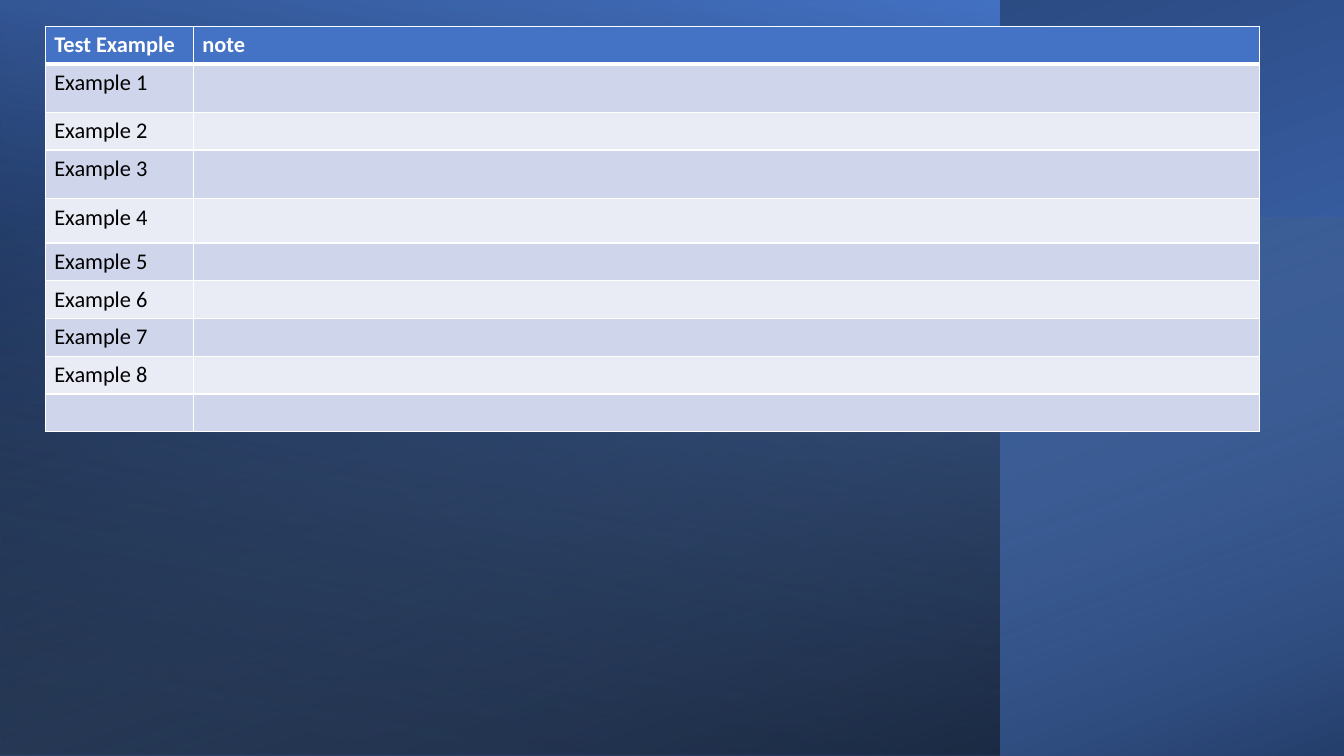
from dataclasses import dataclass

from lxml.etree import SubElement
from pptx import Presentation
from pptx.dml.color import RGBColor
from pptx.enum.shapes import MSO_SHAPE
from pptx.oxml.ns import qn
from pptx.slide import Slide
from pptx.table import _Cell
from pptx.util import Cm, Pt


@dataclass(frozen=True)
class Theme:
    font: str = "Calibri"
    text_size: int = 16
    accent: str = "4472C4"
    navy: str = "203864"
    sky: str = "9DC3E6"
    black: str = "000000"
    white: str = "FFFFFF"
    bands: tuple[str, str] = ("CFD5EA", "E9EBF5")
    thin_border: int = 1
    thick_border: int = 3


@dataclass(frozen=True)
class Stop:
    position: float
    color: str
    opacity: int = 100


@dataclass(frozen=True)
class Panel:
    left: float
    top: float
    width: float
    height: float
    rotation: int
    angle: int
    stops: tuple[Stop, Stop]


@dataclass(frozen=True)
class Row:
    label: str
    height: float
    note: str = ""


THEME = Theme()
SLIDE_WIDTH, SLIDE_HEIGHT = 33.87, 19.05
TABLE_LEFT, TABLE_TOP = 1.14, 0.66
COLUMN_WIDTHS = (3.73, 26.87)
PANELS = (
    Panel(7.41, -7.41, SLIDE_HEIGHT, SLIDE_WIDTH, 270, 200,
          (Stop(0.08, THEME.accent), Stop(1, THEME.navy))),
    Panel(0, 0, 25.2, SLIDE_HEIGHT, 180, 80,
          (Stop(0.08, THEME.black, 52), Stop(1, THEME.accent))),
    Panel(10.13, -4.67, 13.59, 33.88, 270, 20,
          (Stop(0, THEME.sky, 0), Stop(1, THEME.black, 46))),
)
ROWS = (
    Row("Test Example", 0.94, "note"),
    Row("Example 1", 1.22),
    Row("Example 2", 0.94),
    Row("Example 3", 1.22),
    Row("Example 4", 1.12),
    Row("Example 5", 0.94),
    Row("Example 6", 0.94),
    Row("Example 7", 0.94),
    Row("Example 8", 0.94),
    Row("", 0.94),
)


def add_panel(slide: Slide, panel: Panel) -> None:
    shape = slide.shapes.add_shape(
        MSO_SHAPE.RECTANGLE,
        Cm(panel.left), Cm(panel.top), Cm(panel.width), Cm(panel.height),
    )
    shape.rotation = panel.rotation
    shape._element.spPr.find(qn("a:xfrm")).set("flipH", "1")
    shape.shadow.inherit = False
    shape.line.fill.background()
    shape.fill.gradient()
    shape.fill.gradient_angle = 360 - panel.angle
    for gradient_stop, stop in zip(shape.fill.gradient_stops, panel.stops):
        gradient_stop.position = stop.position
        gradient_stop.color.rgb = RGBColor.from_string(stop.color)
    colors = shape._element.spPr.iter(qn("a:srgbClr"))
    for color, stop in zip(list(colors), panel.stops):
        if stop.opacity < 100:
            SubElement(color, qn("a:alpha"), val=str(stop.opacity * 1000))


def add_borders(cell: _Cell, top: int, bottom: int) -> None:
    thin = THEME.thin_border
    properties = cell._tc.get_or_add_tcPr()
    widths = {"lnL": thin, "lnR": thin, "lnT": top, "lnB": bottom}
    for side, width in widths.items():
        line = SubElement(properties, qn(f"a:{side}"), w=str(Pt(width)))
        fill = SubElement(line, qn("a:solidFill"))
        SubElement(fill, qn("a:srgbClr"), val=THEME.white)


def format_cell(cell: _Cell, text: str, row_index: int) -> None:
    header = row_index == 0
    thin, thick = THEME.thin_border, THEME.thick_border
    add_borders(cell, thick if row_index == 1 else thin, thick if header else thin)
    fill_color = THEME.accent if header else THEME.bands[(row_index - 1) % 2]
    cell.fill.solid()
    cell.fill.fore_color.rgb = RGBColor.from_string(fill_color)
    cell.margin_left = cell.margin_right = Cm(0.23)
    cell.margin_top = cell.margin_bottom = Cm(0.13)
    cell.text_frame.text = text
    paragraph = cell.text_frame.paragraphs[0]
    for run in paragraph.runs:
        run.font.name = THEME.font
        run.font.size = Pt(THEME.text_size)
        run.font.bold = header
        text_color = THEME.white if header else THEME.black
        run.font.color.rgb = RGBColor.from_string(text_color)
    if not text:
        SubElement(paragraph._p, qn("a:endParaRPr"), sz=str(THEME.text_size * 100))


def add_example_table(slide: Slide) -> None:
    table = slide.shapes.add_table(
        len(ROWS), len(COLUMN_WIDTHS), Cm(TABLE_LEFT), Cm(TABLE_TOP),
        Cm(sum(COLUMN_WIDTHS)), Cm(sum(row.height for row in ROWS)),
    ).table
    for column, width in zip(table.columns, COLUMN_WIDTHS):
        column.width = Cm(width)
    for row_index, row in enumerate(ROWS):
        table.rows[row_index].height = Cm(row.height)
        for column_index, text in enumerate((row.label, row.note)):
            format_cell(table.cell(row_index, column_index), text, row_index)


def main() -> None:
    presentation = Presentation()
    presentation.slide_width = Cm(SLIDE_WIDTH)
    presentation.slide_height = Cm(SLIDE_HEIGHT)
    slide = presentation.slides.add_slide(presentation.slide_layouts[6])
    for panel in PANELS:
        add_panel(slide, panel)
    add_example_table(slide)
    presentation.save("out.pptx")


if __name__ == "__main__":
    main()
